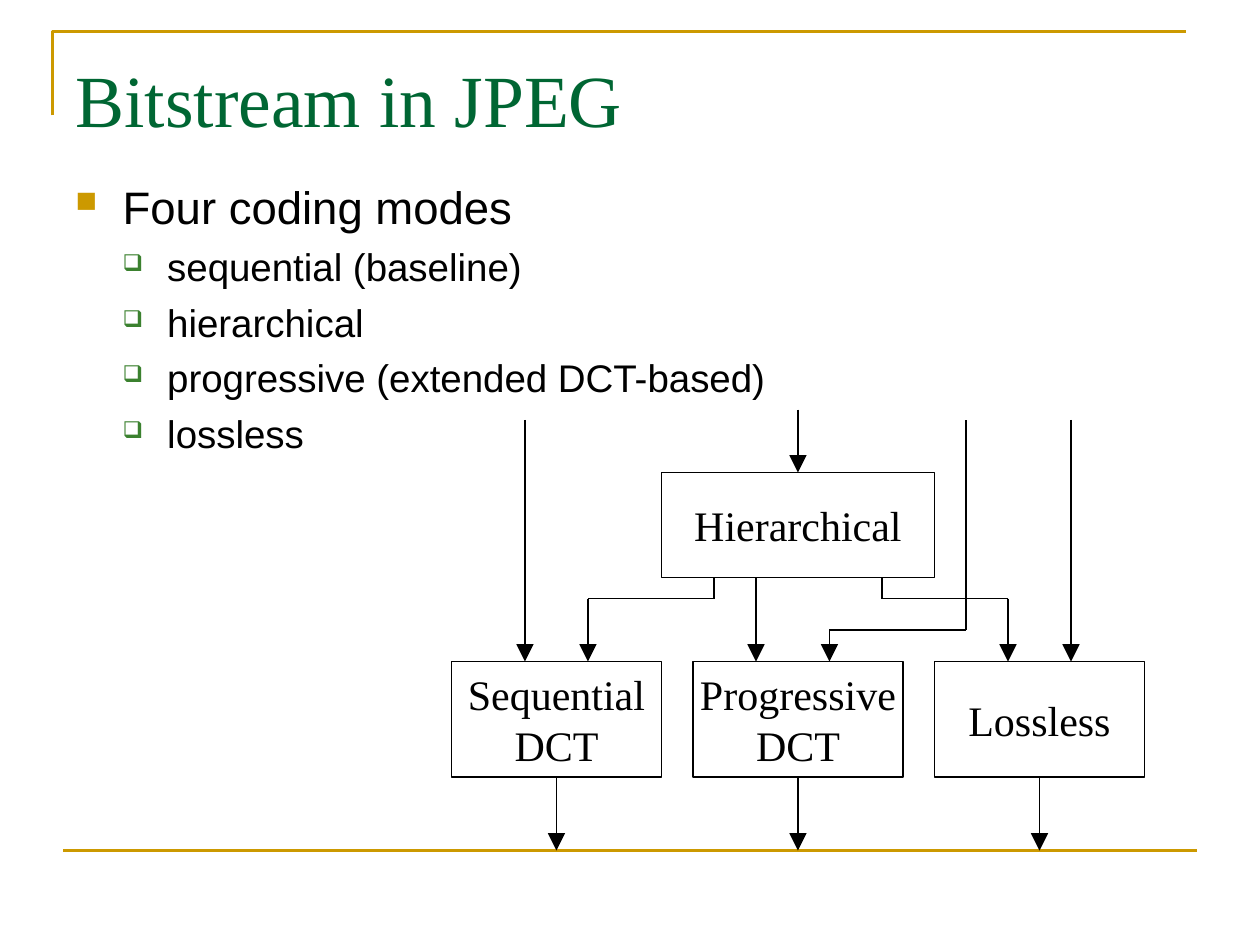
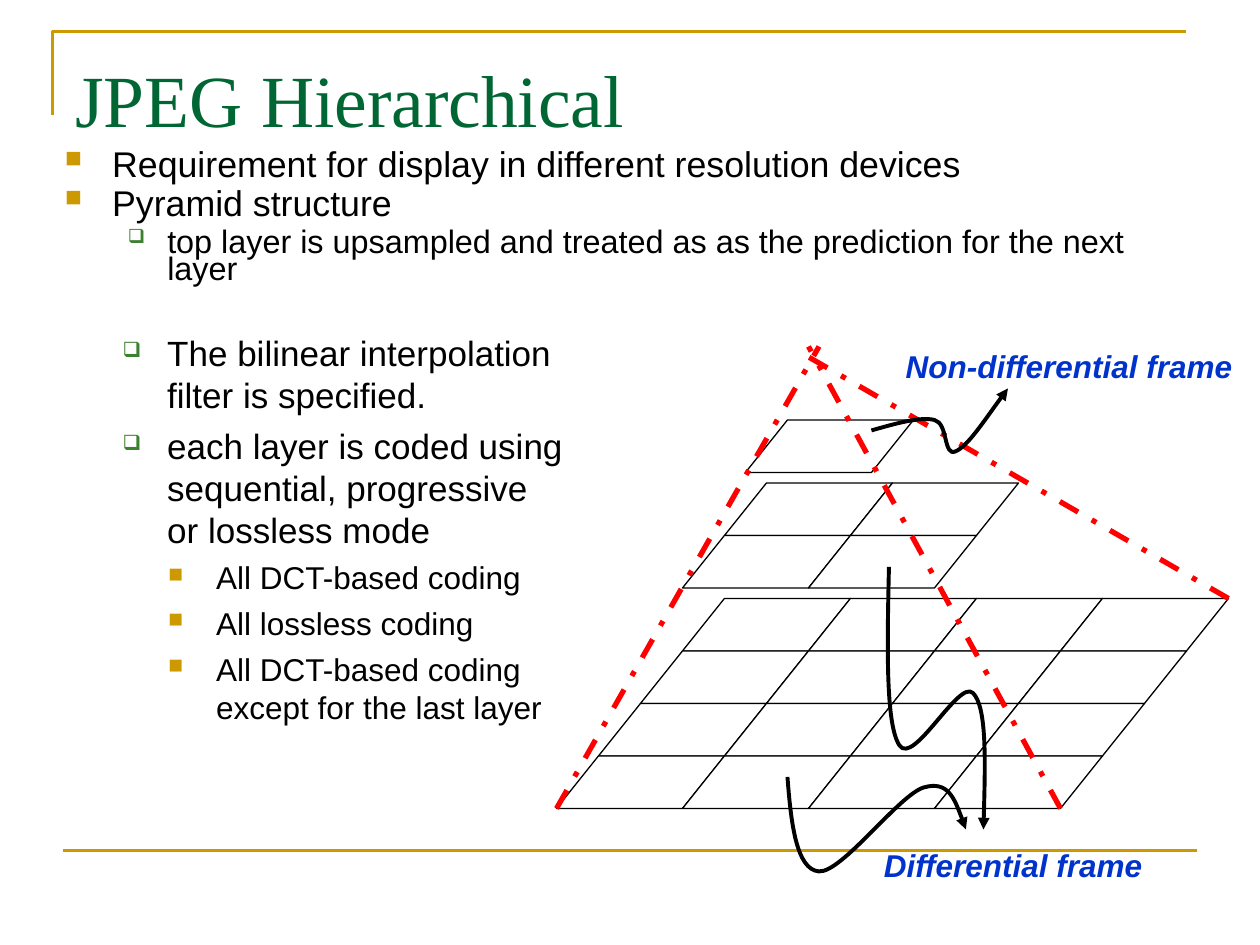
from pptx import Presentation
from pptx.dml.color import RGBColor
from pptx.enum.dml import MSO_LINE
from pptx.enum.shapes import MSO_CONNECTOR, MSO_SHAPE
from pptx.enum.text import MSO_ANCHOR, PP_ALIGN
from pptx.oxml.ns import qn
from pptx.util import Pt
from lxml.etree import SubElement as Sub

HEX = {"gold": "CC9900", "title": "006633", "leaf": "3B812F", "ink": "000000",
       "paper": "FFFFFF", "red": "FF0000", "blue": "0033CC"}
RGB = {name: RGBColor.from_string(code) for name, code in HEX.items()}
SANS, SERIF = "Arial", "Times New Roman"
GOLD, LEAF = ("■", "gold", 65), ("❑", "leaf", 60)


def wire(slide, x1, y1, x2, y2, color="ink", width=0.75, head=False):
    line = slide.shapes.add_connector(MSO_CONNECTOR.STRAIGHT, Pt(x1), Pt(y1), Pt(x2), Pt(y2))
    line.line.color.rgb = RGB[color]
    line.line.width = Pt(width)
    if head:
        Sub(line.line._get_or_add_ln(), qn("a:tailEnd"), type="triangle", w="lg", len="lg")
    Sub(line._element.spPr, qn("a:effectLst"))
    return line


def write(slide, area, rows, font=SANS, color="ink", top=3.6, wrap=True):
    """Each row: text, size, level, left margin, hanging indent, bullet, space before, spacing."""
    box = slide.shapes.add_textbox(*map(Pt, area))
    frame = box.text_frame
    frame.word_wrap = wrap
    frame.margin_top = Pt(top)
    frame.text = "\n".join(row[0] for row in rows)
    for para, (text, size, level, left, hang, mark, gap, lead) in zip(frame.paragraphs, rows):
        para.level = level
        if para is not frame.paragraphs[0] and text != rows[0][0]:
            para.space_before = Pt(gap)
        para.line_spacing = lead
        if mark:
            char, tint, share = mark
            props = para._p.get_or_add_pPr()
            props.set("marL", str(Pt(left)))
            props.set("indent", str(-Pt(hang)))
            Sub(Sub(props, qn("a:buClr")), qn("a:srgbClr"), val=HEX[tint])
            Sub(props, qn("a:buSzPct"), val=str(share * 1000))
            Sub(props, qn("a:buChar"), char=char)
        run = para.runs[0].font
        run.name, run.size, run.color.rgb = font, Pt(size), RGB[color]
    return frame


deck = Presentation()
deck.slide_width, deck.slide_height = Pt(720), Pt(540)

# Shared frame and title
slides = []
for title in ("Bitstream in JPEG", "JPEG Hierarchical"):
    slide = deck.slides.add_slide(deck.slide_layouts[6])
    pen = slide.shapes.build_freeform(Pt(30), Pt(66))
    pen.add_line_segments([(Pt(30), Pt(18)), (Pt(678), Pt(18))], close=False)
    edge = pen.convert_to_shape()
    edge.shadow.inherit = False
    edge.fill.background()
    edge.line.color.rgb = RGB["gold"]
    edge.line.width = Pt(1.5)
    wire(slide, 36, 486, 684, 486, "gold", 1.5)
    write(slide, (36, 21.6, 648, 90), [(title, 42, 0, 0, 0, None, 0, 1.0)],
          SERIF, "title", top=9)
    slides.append(slide)
modes, layers = slides

# Slide 1: list of modes
names = ("sequential (baseline)", "hierarchical", "progressive (extended DCT-based)", "lossless")
write(modes, (36, 96, 648, 386.4),
      [("Four coding modes", 26, 0, 27, 27, GOLD, 0, 1.0)]
      + [(name, 22, 1, 52.5, 25.5, LEAF, 5.5, 1.0) for name in names], top=6)

# Slide 1: boxes
boxes = []
for label, x, y, w, h in (("Hierarchical", 378, 270, 156, 60),
                          ("Sequential\nDCT", 258, 378, 120, 66),
                          ("Progressive\nDCT", 396, 378, 120, 66),
                          ("Lossless", 534, 378, 120, 66)):
    box = modes.shapes.add_shape(MSO_SHAPE.RECTANGLE, Pt(x), Pt(y), Pt(w), Pt(h))
    box.shadow.inherit = False
    box.fill.solid()
    box.fill.fore_color.rgb = RGB["paper"]
    box.line.color.rgb = RGB["ink"]
    box.line.width = Pt(0.75)
    frame = box.text_frame
    frame.word_wrap = False
    frame.vertical_anchor = MSO_ANCHOR.MIDDLE
    frame.text = label
    for para in frame.paragraphs:
        para.alignment = PP_ALIGN.CENTER
        font = para.runs[0].font
        font.name, font.size, font.color.rgb = SERIF, Pt(24), RGB["ink"]
    boxes.append(box)

# Slide 1: arrows in and out
wire(modes, 456, 234, 456, 270, head=True).end_connect(boxes[0], 0)
for box, x in zip(boxes[1:], (318, 456, 594)):
    wire(modes, x, 444, x, 486, head=True).begin_connect(box, 2)
for x, y in ((300, 240), (612, 240), (432, 330), (474, 360), (336, 342), (576, 342)):
    wire(modes, x, y, x, 378, head=True)
for ends in ((336, 342, 408, 342), (504, 342, 576, 342), (474, 360, 552, 360),
             (552, 360, 552, 240), (408, 330, 408, 342), (504, 330, 504, 342)):
    wire(modes, *ends)

# Slide 2: upper list
write(layers, (30, 84, 624, 90), [
    ("Requirement for display in different resolution devices", 20.4, 0, 27, 27, GOLD, 0, 0.7),
    ("Pyramid structure", 20.4, 0, 27, 27, GOLD, 5.5, 0.7),
    ("top layer is upsampled and treated as as the prediction for the next layer",
     18.5, 1, 58.5, 22.5, LEAF, 5, 0.7)])

# Slide 2: pyramid of 4, 2 and 1 cells a side
for count, left, top in ((4, 390, 342), (2, 414, 276), (1, 426, 240)):
    for row in range(count):
        for col in range(count):
            cell = layers.shapes.add_shape(
                MSO_SHAPE.PARALLELOGRAM, Pt(left + 72 * col - 24 * row), Pt(top + 30 * row),
                Pt(96), Pt(30))
            cell.adjustments[0] = 0.8
            cell.shadow.inherit = False
            cell.fill.solid()
            cell.fill.fore_color.rgb = RGB["paper"]
            cell.line.color.rgb = RGB["ink"]
            cell.line.width = Pt(0.75)
for ends in ((606, 462, 462, 198), (702, 342, 462, 204), (318, 462, 468, 198)):
    wire(layers, *ends, "red", 3).line.dash_style = MSO_LINE.DASH_DOT

# Slide 2: lower list
notes = ("The bilinear interpolation filter is specified.",
         "each layer is coded using sequential, progressive or lossless mode")
kinds = ("All DCT-based coding", "All lossless coding",
         "All DCT-based coding except for the last layer")
write(layers, (36, 186, 294, 282),
      [(note, 20, 1, 52.5, 25.5, LEAF, 5, 1.0) for note in notes]
      + [(kind, 18, 2, 80.5, 27.5, GOLD, 4.5, 1.0) for kind in kinds])

# Slide 2: frame labels
for label, area in (("Non-differential frame", (510.5, 195, 201.5, 29)),
                    ("Differential frame", (498, 480, 162, 29))):
    frame = write(layers, area, [(label, 18, 0, 0, 0, None, 0, 1.0)], color="blue", wrap=False)
    font = frame.paragraphs[0].runs[0].font
    font.bold = font.italic = True

# Slide 2: curved arrows, three Bézier points a segment
for start, *points in (
        [(498, 246), (512, 242), (526, 238), (534, 240), (542, 242), (539, 261), (546, 258),
         (553, 255), (564, 238), (576, 222)],
        [(450, 444), (452, 470), (455, 497), (468, 498), (481, 499), (514, 454), (528, 450),
         (542, 446), (547, 460), (552, 474)],
        [(508, 324), (507, 369), (506, 414), (514, 426), (522, 438), (548, 388), (556, 396),
         (564, 404), (563, 439), (562, 474)]):
    pen = layers.shapes.build_freeform(*map(Pt, start))
    pen.add_line_segments([(Pt(x), Pt(y)) for x, y in points], close=False)
    curve = pen.convert_to_shape()
    steps = list(curve._element.iter(qn("a:lnTo")))
    trace = steps[0].getparent()
    for i in range(0, len(steps), 3):
        bend = Sub(trace, qn("a:cubicBezTo"))
        for step in steps[i:i + 3]:
            bend.append(step[0])
            trace.remove(step)
    curve.shadow.inherit = False
    curve.fill.background()
    curve.line.color.rgb = RGB["ink"]
    curve.line.width = Pt(2.25)
    Sub(curve.line._get_or_add_ln(), qn("a:tailEnd"), type="triangle")

deck.save("out.pptx")
